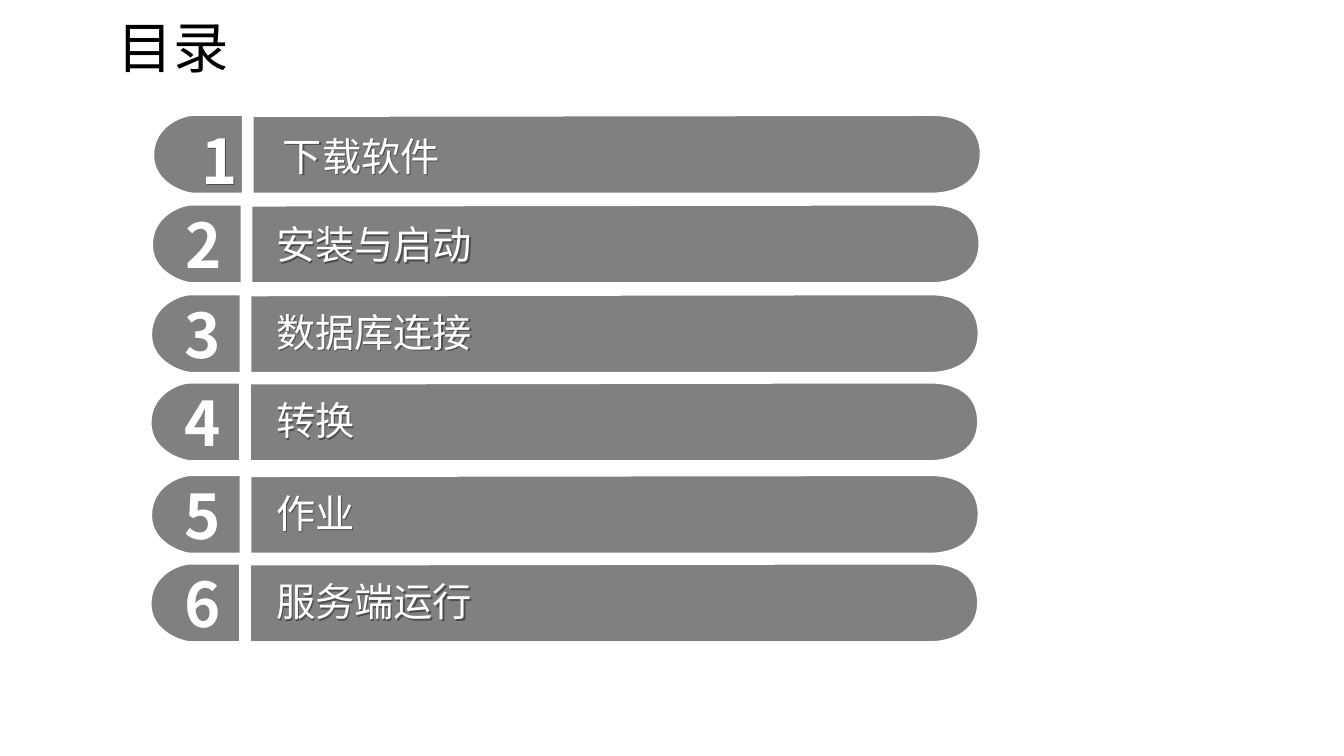
from lxml import etree
from pptx import Presentation
from pptx.dml.color import RGBColor
from pptx.enum.text import MSO_ANCHOR, MSO_AUTO_SIZE, PP_ALIGN
from pptx.oxml.ns import qn
from pptx.util import Pt

MIDDLE, TOP = MSO_ANCHOR.MIDDLE, MSO_ANCHOR.TOP
GROW, FIXED = MSO_AUTO_SIZE.SHAPE_TO_FIT_TEXT, MSO_AUTO_SIZE.NONE
LEFT, CENTER = PP_ALIGN.LEFT, PP_ALIGN.CENTER

COLORS = {"title": "000000", "pill": "808080", "light": "FFFFFF", "shadow": "4D4D4D"}
TITLE_FONT, BODY_FONT = "Calibri", "Noto Sans CJK SC"
INSET_X, INSET_Y = 9.4, 5
BAR_OFFSET = 71

# Label, left and top of the pill, left and top of the label
ENTRIES = [
    ("下载软件", 109.4, 82.1, 192.7, 89.3),
    ("安装与启动", 108.5, 146.1, 187.9, 152.6),
    ("数据库连接", 107.9, 210.2, 187.9, 215.3),
    ("转换", 107.5, 273.2, 187.9, 278.3),
    ("作业", 107.9, 339.3, 187.9, 344.6),
    ("服务端运行", 107.5, 402.5, 187.9, 407.5),
]

# Each segment holds one point for a line, or three for a curve
CAP_OUTLINE = [
    [(64.1, 0)],
    [(64.1, 28.1), (64.1, 56.2), (64.1, 56.2)],
    [(28.1, 56.2)],
    [(23.8, 56.2), (0, 49.7), (0, 28.8)],
    [(0, 7.2), (21.6, 0), (28.1, 0)],
    [(64.1, 0)],
]
BAR_OUTLINE = [
    [(0, 0.7)],
    [(0, 56.2)],
    [(17.6, 56.2), (473, 56.2), (486, 56.2)],
    [(499, 56.2), (519.8, 50.4), (520.2, 28.8)],
    [(520.6, 6.5), (502.6, 0), (486, 0)],
    [(470.2, 0), (17.3, 0.7), (0, 0.7)],
]


def add_outline(page, segments, left, top):
    start, *points = [(Pt(left + x), Pt(top + y))
                      for segment in segments for x, y in segment]
    builder = page.shapes.build_freeform(*start)
    builder.add_line_segments(points, close=True)
    shape = builder.convert_to_shape()

    # Join the three points of each curve
    lines = iter(list(shape._element.iter(qn("a:lnTo"))))
    for segment in segments[1:]:
        steps = [next(lines) for _ in segment]
        if len(steps) == 3:
            bend = etree.Element(qn("a:cubicBezTo"))
            steps[0].addprevious(bend)
            for step in steps:
                bend.append(step[0])
                step.getparent().remove(step)

    shape.shadow.inherit = False
    shape.fill.solid()
    shape.fill.fore_color.rgb = RGBColor.from_string(COLORS["pill"])
    shape.line.color.rgb = RGBColor.from_string(COLORS["light"])
    shape.line.width = Pt(1.5)
    return shape


def add_box(page, left, top, width, height):
    return page.shapes.add_textbox(Pt(left), Pt(top), Pt(width), Pt(height))


def add_shadow_box(page, left, top, width, height):
    """A box without fill, so that its text casts the shadow."""
    box = add_box(page, left, top, width, height)
    effects = etree.SubElement(box._element.spPr, qn("a:effectLst"))
    shadow = etree.SubElement(effects, qn("a:outerShdw"), dist="17961", dir="2700000")
    etree.SubElement(shadow, qn("a:srgbClr"), val=COLORS["shadow"])
    return box


def write(shape, text, size, font, color, bold=False, align=LEFT, anchor=TOP,
          wrap=True, fit=FIXED, inset=INSET_X):
    frame = shape.text_frame
    frame.text = text
    frame.word_wrap, frame.auto_size, frame.vertical_anchor = wrap, fit, anchor
    frame.margin_left = frame.margin_right = Pt(inset)
    frame.margin_top = frame.margin_bottom = Pt(INSET_Y)
    para = frame.paragraphs[0]
    para.alignment = align
    span = para.runs[0]
    span.font.size, span.font.bold, span.font.name = Pt(size), bold, font
    span.font.color.rgb = RGBColor.from_string(color)
    east_asian = etree.Element(qn("a:ea"), typeface=font)
    span.font._element.find(qn("a:latin")).addnext(east_asian)
    return para


def add_entry(page, number, label, left, top, label_left, label_top):
    # Rounded cap and bar
    cap = add_outline(page, CAP_OUTLINE, left, top)
    if number > 1:
        write(cap, f" {number}", 44, BODY_FONT, COLORS["light"], bold=True,
              align=CENTER, anchor=MIDDLE, wrap=False)
    add_outline(page, BAR_OUTLINE, left + BAR_OFFSET, top)

    # Label with a hanging indent
    box = add_shadow_box(page, label_left, label_top, 489.6, 43.2)
    para = write(box, label, 28, BODY_FONT, COLORS["light"], fit=GROW)
    properties = para._p.get_or_add_pPr()
    properties.set("marL", str(Pt(40.3)))
    properties.set("indent", str(-Pt(40.3)))

    # The first number stands in its own box
    if number == 1:
        box = add_shadow_box(page, 134.3, 82.8, 31.7, 63.4)
        write(box, str(number), 44, BODY_FONT, COLORS["light"], bold=True,
              align=CENTER, fit=GROW)


def main():
    deck = Presentation()
    deck.slide_width, deck.slide_height = Pt(960), Pt(540)
    page = deck.slides.add_slide(deck.slide_layouts[6])

    # Title
    title = add_box(page, 77, 11.5, 505.4, 49)
    para = write(title, "目录", 39.6, TITLE_FONT, COLORS["title"], anchor=MIDDLE,
                 inset=7.2)
    para.line_spacing = 0.9

    # Contents
    for number, entry in enumerate(ENTRIES, 1):
        add_entry(page, number, *entry)

    deck.save("out.pptx")


if __name__ == "__main__":
    main()
